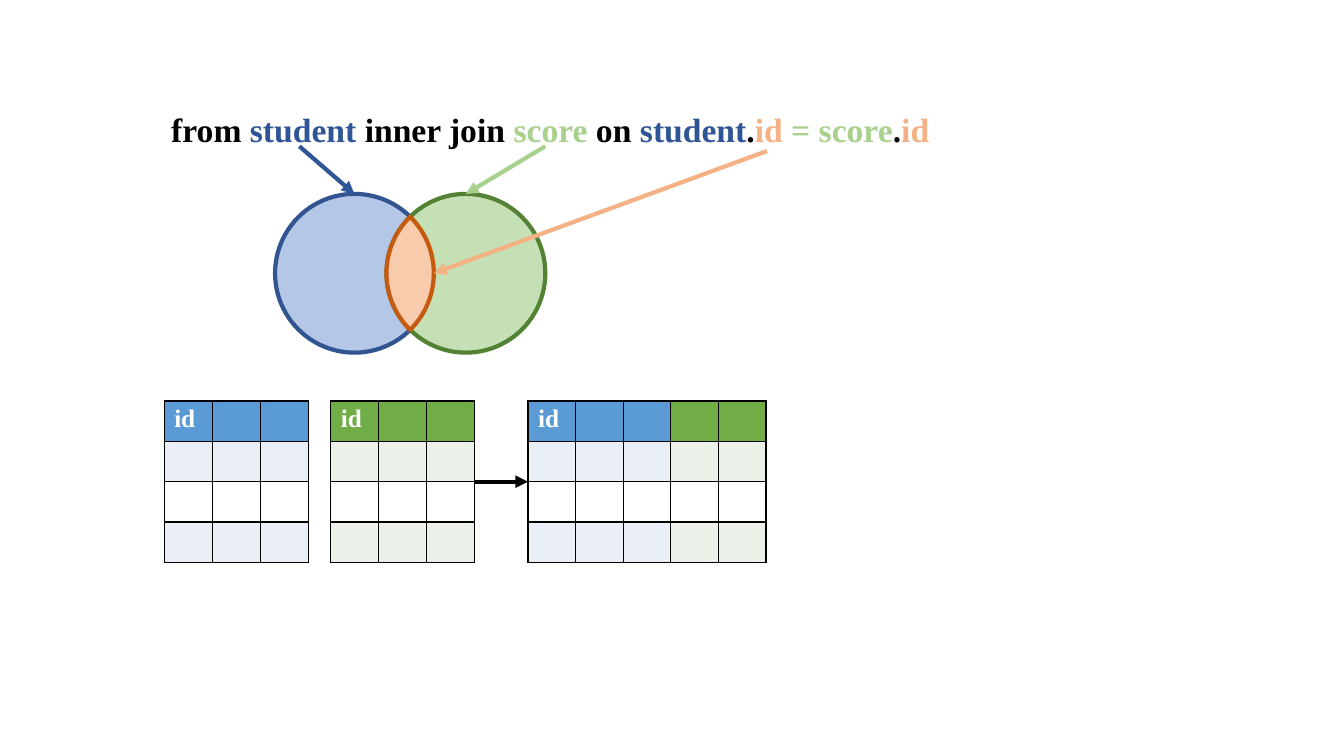
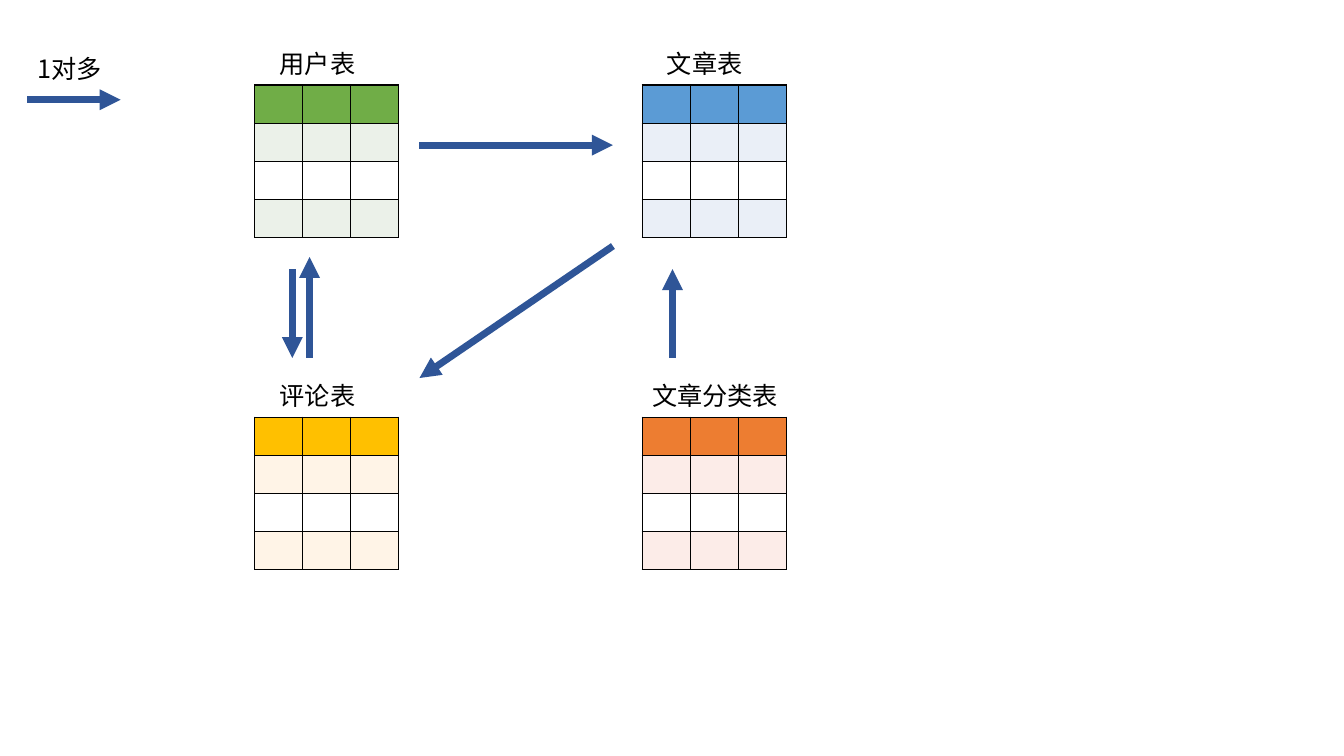
from dataclasses import dataclass
from math import acos, cos, pi, sin

from pptx import Presentation
from pptx.dml.color import RGBColor
from pptx.enum.shapes import MSO_CONNECTOR, MSO_SHAPE
from pptx.enum.text import MSO_AUTO_SIZE
from pptx.oxml import parse_xml
from pptx.oxml.ns import nsdecls, qn
from pptx.oxml.xmlchemy import OxmlElement
from pptx.util import Inches, Pt


@dataclass(frozen=True)
class Theme:
    """Colours, fonts and sizes shared by the slides."""
    black: str = "000000"
    white: str = "FFFFFF"
    navy: str = "2F5597"
    leaf: str = "A9D18E"
    peach: str = "F4B183"
    # Circle and overlap styles: fill, outline
    left_set: tuple = ("B4C7E7", "325491")
    right_set: tuple = ("C5E0B4", "548235")
    overlap: tuple = ("F8CBAD", "C55A11")
    # Table palettes: header, band
    blue: tuple = ("5B9BD5", "EAEFF7")
    green: tuple = ("70AD47", "EBF1E9")
    orange: tuple = ("ED7D31", "FCECE8")
    gold: tuple = ("FFC000", "FFF4E7")
    latin: str = "Times New Roman"
    chinese: str = "Noto Sans CJK SC"
    query_size: int = 24
    label_size: int = 18
    outline: int = 3
    relation: int = 5


THEME = Theme()
WIDTH, HEIGHT = Inches(13.33), Inches(7.5)
COLUMN, ROW = WIDTH / 28, HEIGHT / 20


@dataclass(frozen=True)
class Box:
    """An area measured in grid columns and rows."""
    left: float
    top: float
    width: float
    height: float

    def emu(self):
        """Give left, top, width and height in slide units."""
        return (int(self.left * COLUMN), int(self.top * ROW),
                int(self.width * COLUMN), int(self.height * ROW))

    def at(self, across, down):
        """Give the grid point at shares of the box."""
        return self.left + across * self.width, self.top + down * self.height


def color(code):
    """Turn a hex code into a colour."""
    return RGBColor.from_string(code)


def style_span(span, size, font, code, bold=False):
    """Set the look of one run for Latin and Chinese text."""
    span.font.size, span.font.name, span.font.bold = Pt(size), font, bold
    span.font.color.rgb = color(code)
    east_asian = OxmlElement("a:ea")
    east_asian.set("typeface", font)
    span.font._element.find(qn("a:latin")).addnext(east_asian)


def style_shape(shape, colors):
    """Give a shape its fill and outline, without a shadow."""
    fill, line = colors
    shape.shadow.inherit = False
    shape.fill.solid()
    shape.fill.fore_color.rgb = color(fill)
    shape.line.color.rgb = color(line)
    shape.line.width = Pt(THEME.outline)


def add_arrow(page, start, end, code=THEME.navy, weight=THEME.relation):
    """Draw a straight arrow between two grid points."""
    (x1, y1), (x2, y2) = start, end
    arrow = page.shapes.add_connector(
        MSO_CONNECTOR.STRAIGHT, int(x1 * COLUMN), int(y1 * ROW),
        int(x2 * COLUMN), int(y2 * ROW))
    arrow.line.color.rgb = color(code)
    arrow.line.width = Pt(weight)
    properties = arrow.element.spPr
    head = OxmlElement("a:tailEnd")
    head.set("type", "triangle")
    properties.find(qn("a:ln")).append(head)
    properties.append(OxmlElement("a:effectLst"))


def add_text(page, box, spans, size, font, wrap=True, bold=False):
    """Write one paragraph made of (text, colour) spans."""
    frame = page.shapes.add_textbox(*box.emu()).text_frame
    frame.word_wrap = wrap
    frame.auto_size = MSO_AUTO_SIZE.SHAPE_TO_FIT_TEXT
    for text, code in spans:
        span = frame.paragraphs[0].add_run()
        span.text = text
        style_span(span, size, font, code, bold)


def add_label(page, box, text):
    """Write a Chinese caption."""
    add_text(page, box, [(text, THEME.black)], THEME.label_size, THEME.chinese)


def add_borders(cell):
    """Rule all four sides of a cell in black."""
    for side in ("lnL", "lnR", "lnT", "lnB"):
        cell._tc.get_or_add_tcPr().append(parse_xml(
            f'<a:{side} {nsdecls("a")} w="12700"><a:solidFill>'
            f'<a:srgbClr val="{THEME.black}"/></a:solidFill></a:{side}>'))


def add_grid_table(page, box, palettes, key=""):
    """Draw a four-row table with one palette per column."""
    table = page.shapes.add_table(4, len(palettes), *box.emu()).table
    table.first_row = table.horz_banding = False
    for row in table.rows:
        row.height = int(box.height * ROW / 4)
    for place, (header, band) in enumerate(palettes):
        table.columns[place].width = int(box.width * COLUMN / len(palettes))
        for line, fill in enumerate((header, band, THEME.white, band)):
            cell = table.cell(line, place)
            cell.margin_top, cell.margin_bottom = Inches(0.04), 0
            add_borders(cell)
            cell.fill.solid()
            cell.fill.fore_color.rgb = color(fill)
    if key:
        para = table.cell(0, 0).text_frame.paragraphs[0]
        para.text = key
        style_span(para.runs[0], THEME.label_size, THEME.latin,
                   THEME.white, bold=True)


def draw_venn(page, box):
    """Draw two circles filling the box, their overlap and its arrows."""
    left, top, width, diameter = box.emu()
    radius = diameter / 2
    for offset, colors in ((0, THEME.left_set),
                           (width - diameter, THEME.right_set)):
        circle = page.shapes.add_shape(
            MSO_SHAPE.OVAL, left + offset, top, diameter, diameter)
        style_shape(circle, colors)

    half_angle = acos((width - diameter) / diameter)
    steps = [half_angle * step / 15 for step in range(-15, 16)]
    arcs = [(left + radius, angle) for angle in steps]
    arcs += [(left + width - radius, pi + angle) for angle in steps]
    points = [(int(center + radius * cos(angle)),
               int(top + radius + radius * sin(angle)))
              for center, angle in arcs]
    builder = page.shapes.build_freeform(*points[0])
    builder.add_line_segments(points[1:], close=True)
    style_shape(builder.convert_to_shape(), THEME.overlap)

    share = diameter / width
    for start, end, code in (
            ((0.09, -0.3), (share / 2, 0), THEME.navy),
            ((1, -0.3), (1 - share / 2, 0), THEME.leaf),
            ((1.82, -0.27), (share, 0.5), THEME.peach)):
        add_arrow(page, box.at(*start), box.at(*end), code, THEME.outline)


def draw_join_tables(page, box):
    """Draw the two source tables and the joined table in a row."""
    blue, green = [THEME.blue], [THEME.green]
    student = Box(box.left, box.top, 3, box.height)
    score = Box(box.left + 3.47, box.top, 3, box.height)
    joined = Box(box.left + box.width - 4.96, box.top, 4.96, box.height)
    add_grid_table(page, student, blue * 3, "id")
    add_grid_table(page, score, green * 3, "id")
    add_grid_table(page, joined, blue * 3 + green * 2, "id")
    add_arrow(page, score.at(1, 0.5), joined.at(0, 0.5),
              THEME.black, THEME.outline)


def build_join_slide(page):
    """Explain an inner join with a query, a diagram and tables."""
    black, navy, leaf, peach = (THEME.black, THEME.navy, THEME.leaf,
                                THEME.peach)
    query = [("from ", black), ("student", navy), (" inner join ", black),
             ("score", leaf), (" on ", black), ("student", navy),
             (".", black), ("id", peach), (" = score", leaf),
             (".", black), ("id", peach)]
    add_text(page, Box(3.36, 2.75, 16.36, 1.33), query, THEME.query_size,
             THEME.latin, wrap=False, bold=True)
    draw_venn(page, Box(5.73, 5.13, 5.63, 4.2))
    draw_join_tables(page, Box(3.42, 10.61, 12.54, 4.27))


def draw_entity(page, box, name, palette, indent=0.31, width=2.37):
    """Draw a three-column table under its caption."""
    add_label(page, Box(box.left + indent, box.top - 1.1, width, 1.07), name)
    add_grid_table(page, box, [palette] * 3)


def draw_legend(page, box):
    """Show what an arrow means."""
    add_label(page, box, "1对多")
    add_arrow(page, box.at(0, 1.27), box.at(0.82, 1.27))


def build_relation_slide(page):
    """Show four tables and the one-to-many relations between them."""
    left, right, upper, lower = 5.31, 13.38, 2.25, 11.04
    size = (3, 4.03)
    draw_entity(page, Box(right, upper, *size), "文章表", THEME.blue)
    draw_entity(page, Box(left, upper, *size), "用户表", THEME.green)
    draw_entity(page, Box(right, lower, *size), "文章分类表", THEME.orange,
                indent=0, width=4.13)
    draw_entity(page, Box(left, lower, *size), "评论表", THEME.gold)
    draw_legend(page, Box(0.57, 1.28, 2.37, 1.07))

    gap = Box(8.74, 3.84, 4.03, 6.16)
    add_arrow(page, gap.at(0, 0), gap.at(1, 0))
    add_arrow(page, (gap.left + gap.width, 6.51), gap.at(0, 1))
    for column, start, end in ((14.01, 9.47, 7.12), (6.09, 7.12, 9.47),
                               (6.45, 9.47, 6.8)):
        add_arrow(page, (column, start), (column, end))


def main():
    """Build and save the deck."""
    deck = Presentation()
    deck.slide_width, deck.slide_height = WIDTH, HEIGHT
    for build in (build_join_slide, build_relation_slide):
        build(deck.slides.add_slide(deck.slide_layouts[6]))
    deck.save("out.pptx")


main()
